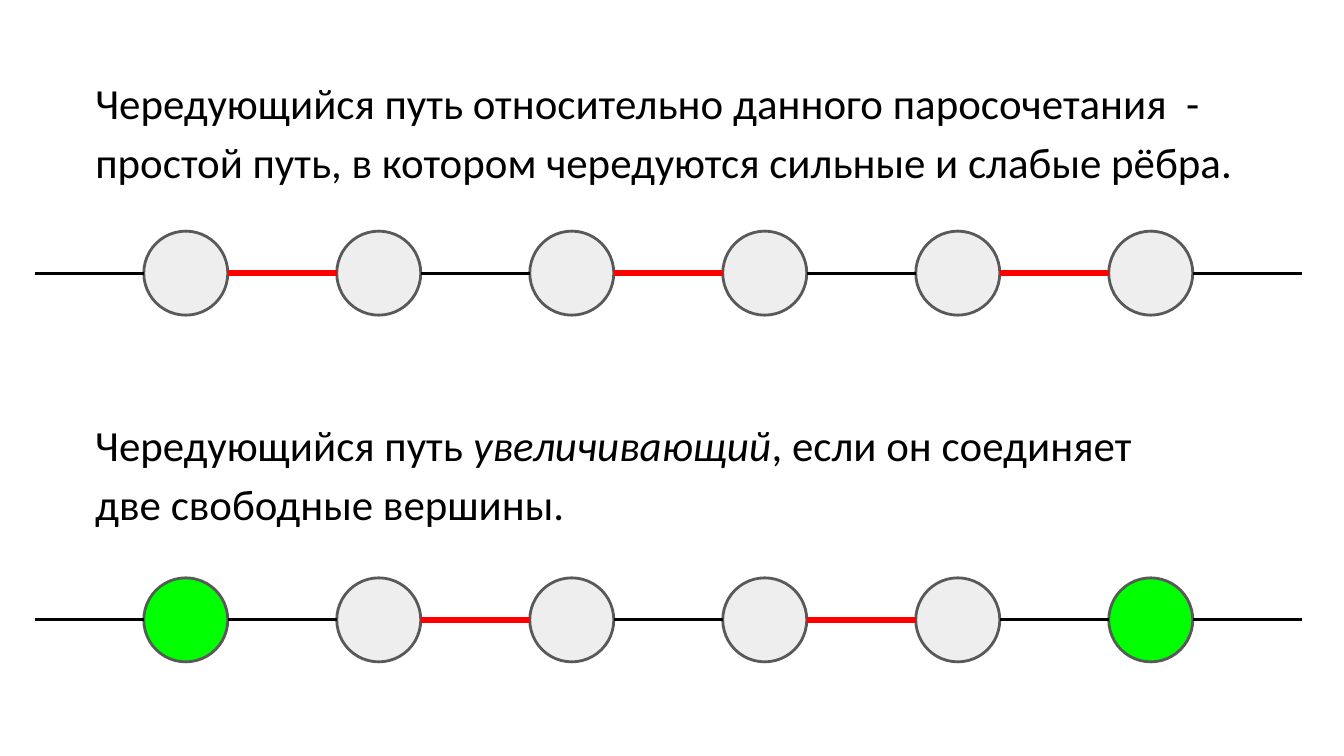
from lxml.etree import SubElement
from pptx import Presentation
from pptx.dml.color import RGBColor
from pptx.enum.shapes import MSO_CONNECTOR, MSO_SHAPE
from pptx.enum.text import MSO_ANCHOR, MSO_AUTO_SIZE
from pptx.oxml.ns import qn
from pptx.util import Inches, Pt

COLORS = {
    "text": "000000",
    "vertex": "EEEEEE",
    "free": "00FF00",
    "outline": "595959",
    "weak": "000000",
    "strong": "FF0000",
}
WIDTH = 10
HEIGHT = WIDTH * 9 / 16
DIAMETER = WIDTH / 16
FIRST_LEFT, LAST_LEFT = 1.07, 8.25
VERTICES = 6
PITCH = (LAST_LEFT - FIRST_LEFT) / (VERTICES - 1)


def color(name):
    """Return the named palette colour."""
    return RGBColor.from_string(COLORS[name])


def place(shape, left, top, width, height):
    """Move and size a shape in inches."""
    shape.left, shape.top = Inches(left), Inches(top)
    shape.width, shape.height = Inches(width), Inches(height)


def write(shape, *runs, size=23, font="Calibri", spacing=1.15, after=0):
    """Fill a shape with one paragraph of (text, italic) runs."""
    frame = shape.text_frame
    frame.word_wrap = True
    frame.auto_size = MSO_AUTO_SIZE.NONE
    frame.vertical_anchor = MSO_ANCHOR.TOP
    frame.margin_left = frame.margin_right = Inches(0.1)
    frame.margin_top = frame.margin_bottom = Inches(0.1)
    paragraph = frame.paragraphs[0]
    paragraph.line_spacing = spacing
    paragraph.space_before, paragraph.space_after = Pt(0), Pt(after)
    properties = paragraph._p.get_or_add_pPr()
    properties.set("marL", "0")
    properties.set("indent", "0")
    SubElement(properties, qn("a:buNone"))
    for text, italic in runs:
        run = paragraph.add_run()
        run.text = text
        run.font.name, run.font.size = font, Pt(size)
        run.font.italic = italic
        run.font.color.rgb = color("text")


def add_vertex(slide, column, top, kind):
    """Draw one vertex of a path."""
    vertex = slide.shapes.add_shape(
        MSO_SHAPE.OVAL, Inches(FIRST_LEFT + column * PITCH), Inches(top),
        Inches(DIAMETER), Inches(DIAMETER))
    vertex.shadow.inherit = False
    vertex.fill.solid()
    vertex.fill.fore_color.rgb = color(kind)
    vertex.line.color.rgb = color("outline")
    vertex.line.width = Pt(1.5)


def add_edge(slide, column, top, kind):
    """Draw the edge that ends at the vertex in the given column."""
    end = FIRST_LEFT + column * PITCH
    start = end - PITCH + DIAMETER
    middle = Inches(top + DIAMETER / 2)
    edge = slide.shapes.add_connector(
        MSO_CONNECTOR.STRAIGHT, Inches(start), middle, Inches(end), middle)
    edge.line.color.rgb = color(kind)
    edge.line.width = Pt(3 if kind == "strong" else 1.5)
    SubElement(edge._element.spPr, qn("a:effectLst"))


def add_path(slide, top, strong, free=()):
    """Draw a path with its strong edges and free vertices."""
    for column in range(VERTICES):
        add_vertex(slide, column, top, "free" if column in free else "vertex")
    for column in range(VERTICES + 1):
        add_edge(slide, column, top, "strong" if column in strong else "weak")


def main():
    """Build the slide on alternating and augmenting paths."""
    deck = Presentation()
    deck.slide_width, deck.slide_height = Inches(WIDTH), Inches(HEIGHT)
    slide = deck.slides.add_slide(deck.slide_layouts[1])
    title = slide.shapes.title._element
    title.getparent().remove(title)

    alternating = slide.placeholders[1]
    place(alternating, 0.61, 0.41, 8.78, 1.08)
    write(alternating, (
        "Чередующийся путь относительно данного паросочетания  - "
        "простой путь, в котором чередуются сильные и слабые рёбра.", False))

    augmenting = slide.shapes.add_textbox(0, 0, 0, 0)
    place(augmenting, 0.61, 2.96, 8.41, 1.02)
    write(augmenting, ("Чередующийся путь ", False), ("увеличивающий", True),
          (", если он соединяет две свободные вершины.", False), after=16)

    add_path(slide, 1.72, strong=(1, 3, 5))
    add_path(slide, 4.3, strong=(2, 4), free=(0, VERTICES - 1))
    deck.save("out.pptx")


if __name__ == "__main__":
    main()
